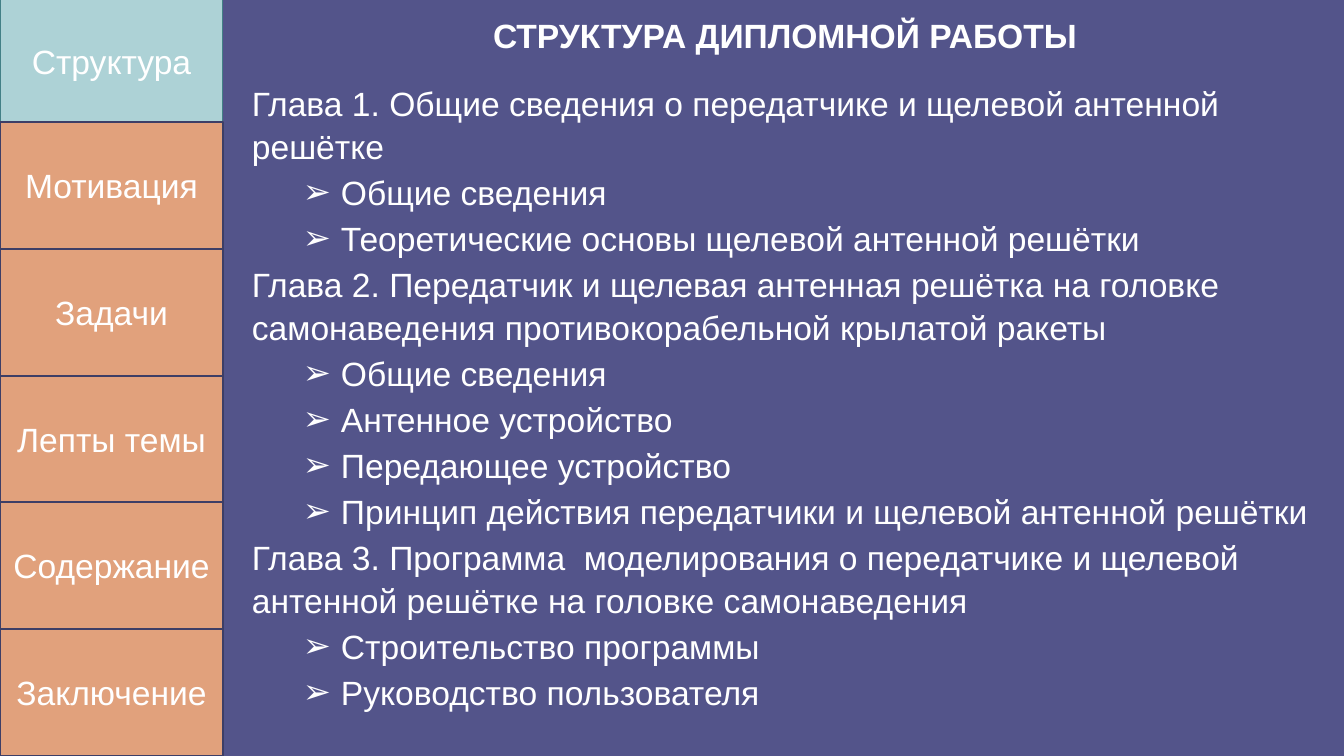
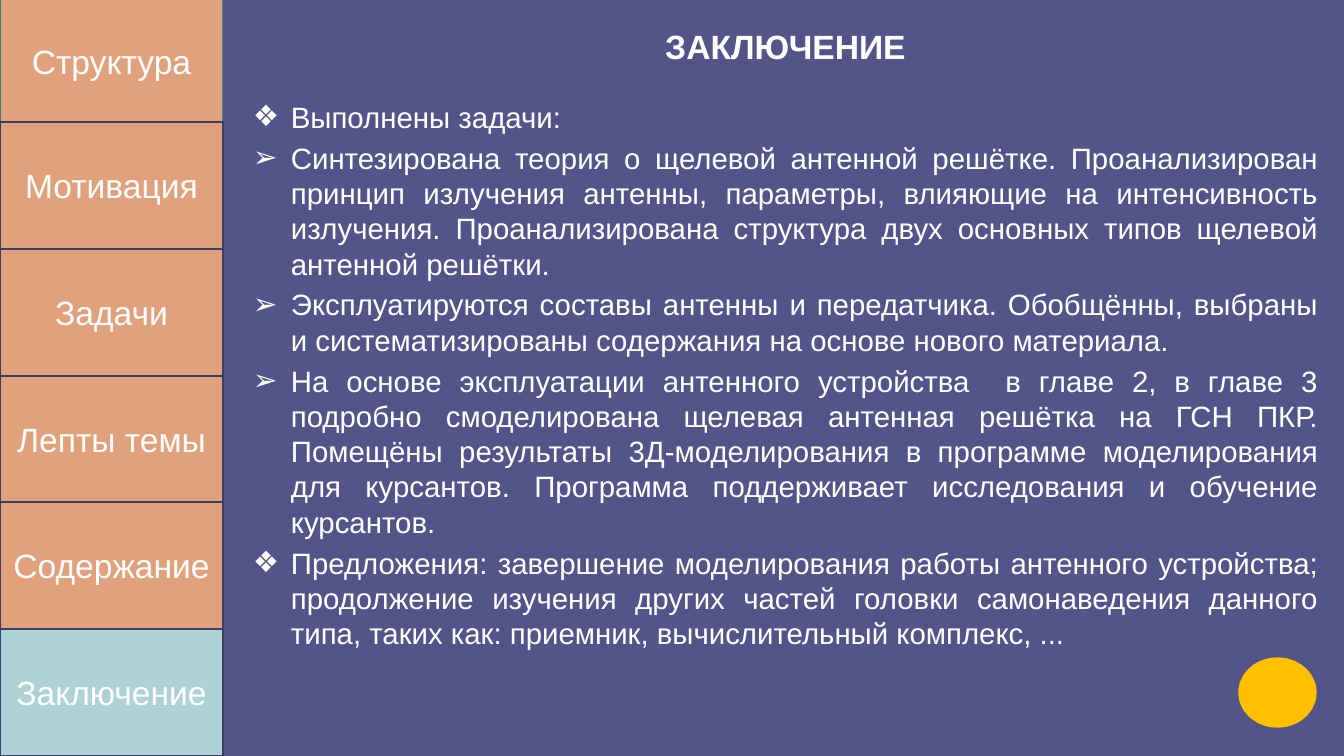
import pptx
import pptx.util
import pptx.dml.color
import pptx.enum.shapes
import pptx.enum.text
import lxml.etree
import pptx.oxml.ns

EMU_PER_PX = 914400 / 100.8
SLIDE_WIDTH, SLIDE_HEIGHT = 1344, 756
MENU_WIDTH, FIRST_HEIGHT = 223, 122
MENU = ["Структура", "Мотивация", "Задачи", "Лепты темы", "Содержание", "Заключение"]

BACKGROUND = "53548A"
WHITE = "FFFFFF"
ACTIVE = "ADD2D6"
INACTIVE = "E1A17C"
FIRST_BORDER = "438086"
BORDER = "3D3E66"
GOLD = "FFC000"

FONT = "Arial"
ARROW, DIAMOND = "➢", "❖"
ALIGN = pptx.enum.text.PP_ALIGN
ANCHOR = pptx.enum.text.MSO_ANCHOR
SHAPE = pptx.enum.shapes.MSO_SHAPE
MENU_TEXT = {"size": pptx.util.Pt(24), "name": FONT, "bold": False}
TITLE_TEXT = {**MENU_TEXT, "bold": True}
CONCLUSION_TEXT = {**MENU_TEXT, "size": pptx.util.Pt(21)}

STRUCTURE = [
    ("Глава 1. Общие сведения о передатчике и щелевой антенной решётке", [
        "Общие сведения",
        "Теоретические основы щелевой антенной решётки",
    ]),
    ("Глава 2. Передатчик и щелевая антенная решётка на головке самонаведения "
     "противокорабельной крылатой ракеты", [
        "Общие сведения",
        "Антенное устройство",
        "Передающее устройство",
        "Принцип действия передатчики и щелевой антенной решётки",
     ]),
    ("Глава 3. Программа  моделирования о передатчике и щелевой антенной решётке "
     "на головке самонаведения", [
        "Строительство программы",
        "Руководство пользователя",
     ]),
]

CONCLUSION = [
    (DIAMOND, "Выполнены задачи:"),
    (ARROW, "Синтезирована теория о щелевой антенной решётке. Проанализирован принцип "
            "излучения антенны, параметры, влияющие на интенсивность излучения. "
            "Проанализирована структура двух основных типов щелевой антенной решётки."),
    (ARROW, "Эксплуатируются составы антенны и передатчика. Обобщённы, выбраны и "
            "систематизированы содержания на основе нового материала."),
    (ARROW, "На основе эксплуатации антенного устройства  в главе 2, в главе 3 подробно "
            "смоделирована щелевая антенная решётка на ГСН ПКР. Помещёны результаты "
            "3Д-моделирования в программе моделирования для курсантов. Программа "
            "поддерживает исследования и обучение курсантов."),
    (DIAMOND, "Предложения: завершение моделирования работы антенного устройства; "
              "продолжение изучения других частей головки самонаведения данного типа, "
              "таких как: приемник, вычислительный комплекс, ..."),
]


def px(length):
    return pptx.util.Emu(round(length * EMU_PER_PX))


def color(value):
    return pptx.dml.color.RGBColor.from_string(value)


def apply(target, values):
    for name, value in values.items():
        setattr(target, name, value)


def write(para, text, font):
    span = para.add_run()
    span.text = text
    apply(span.font, font)
    span.font.color.rgb = color(WHITE)


def add_bullet(para, symbol, margin):
    properties = para._p.get_or_add_pPr()
    properties.set("marL", str(px(margin)))
    properties.set("indent", str(px(-38)))
    for tag, name, value in (("a:buFont", "typeface", FONT), ("a:buChar", "char", symbol)):
        element = lxml.etree.SubElement(properties, pptx.oxml.ns.qn(tag))
        element.set(name, value)


def add_shape(page, kind, place, fill, border, weight):
    shape = page.shapes.add_shape(kind, *map(px, place))
    shape.shadow.inherit = False
    shape.fill.solid()
    shape.fill.fore_color.rgb = color(fill)
    shape.line.color.rgb = color(border)
    shape.line.width = pptx.util.Pt(weight)
    return shape


def add_menu(page, active):
    step = (SLIDE_HEIGHT - FIRST_HEIGHT) / (len(MENU) - 1)
    edges = [0] + [round(FIRST_HEIGHT + step * index) for index in range(len(MENU))]
    for index, label in enumerate(MENU):
        top, bottom = edges[index:index + 2]
        border, weight = (BORDER, 1) if index else (FIRST_BORDER, 0.75)
        button = add_shape(page, SHAPE.RECTANGLE, (0, top, MENU_WIDTH, bottom - top),
                           ACTIVE if label == active else INACTIVE, border, weight)
        frame = button.text_frame
        apply(frame, {"vertical_anchor": ANCHOR.MIDDLE, "word_wrap": True,
                      "margin_left": 0, "margin_right": 0})
        frame.paragraphs[0].alignment = ALIGN.CENTER
        write(frame.paragraphs[0], label, MENU_TEXT)


def add_page(deck, title, place, active):
    page = deck.slides.add_slide(deck.slide_layouts.get_by_name("Title Only"))
    heading = page.shapes.title
    apply(heading, dict(zip(("left", "top", "width", "height"), map(px, place))))
    apply(heading.text_frame, {"vertical_anchor": ANCHOR.TOP, "word_wrap": True,
                               "auto_size": pptx.enum.text.MSO_AUTO_SIZE.NONE})
    heading.text_frame.paragraphs[0].alignment = ALIGN.CENTER
    write(heading.text_frame.paragraphs[0], title, TITLE_TEXT)
    add_menu(page, active)
    return page


def add_body(page, place, items, font, layout):
    frame = page.shapes.add_textbox(*map(px, place)).text_frame
    frame.word_wrap = True
    for index, (level, symbol, margin, text) in enumerate(items):
        para = frame.add_paragraph() if index else frame.paragraphs[0]
        if symbol:
            add_bullet(para, symbol, margin)
        apply(para, {"level": level, **layout})
        write(para, text, font)


def main():
    deck = pptx.Presentation()
    deck.slide_width, deck.slide_height = px(SLIDE_WIDTH), px(SLIDE_HEIGHT)
    background = deck.slide_master.background.fill
    background.solid()
    background.fore_color.rgb = color(BACKGROUND)

    page = add_page(deck, "СТРУКТУРА ДИПЛОМНОЙ РАБОТЫ", (455, 10, 660, 50), "Структура")
    items = []
    for chapter, sections in STRUCTURE:
        items.append((0, None, 0, chapter))
        items.extend((1, ARROW, 89, section) for section in sections)
    add_body(page, (242, 75, 1102, 645), items, MENU_TEXT,
             {"line_spacing": 1.07, "space_after": pptx.util.Pt(2)})

    page = add_page(deck, "ЗАКЛЮЧЕНИЕ", (571, 21, 429, 50), "Заключение")
    items = [(0, symbol, 38, text) for symbol, text in CONCLUSION]
    add_body(page, (243, 94, 1085, 568), items, CONCLUSION_TEXT,
             {"alignment": ALIGN.JUSTIFY, "space_after": pptx.util.Pt(4)})
    add_shape(page, SHAPE.OVAL, (1239, 658, 77, 69), GOLD, GOLD, 1)

    deck.save("out.pptx")


if __name__ == "__main__":
    main()
